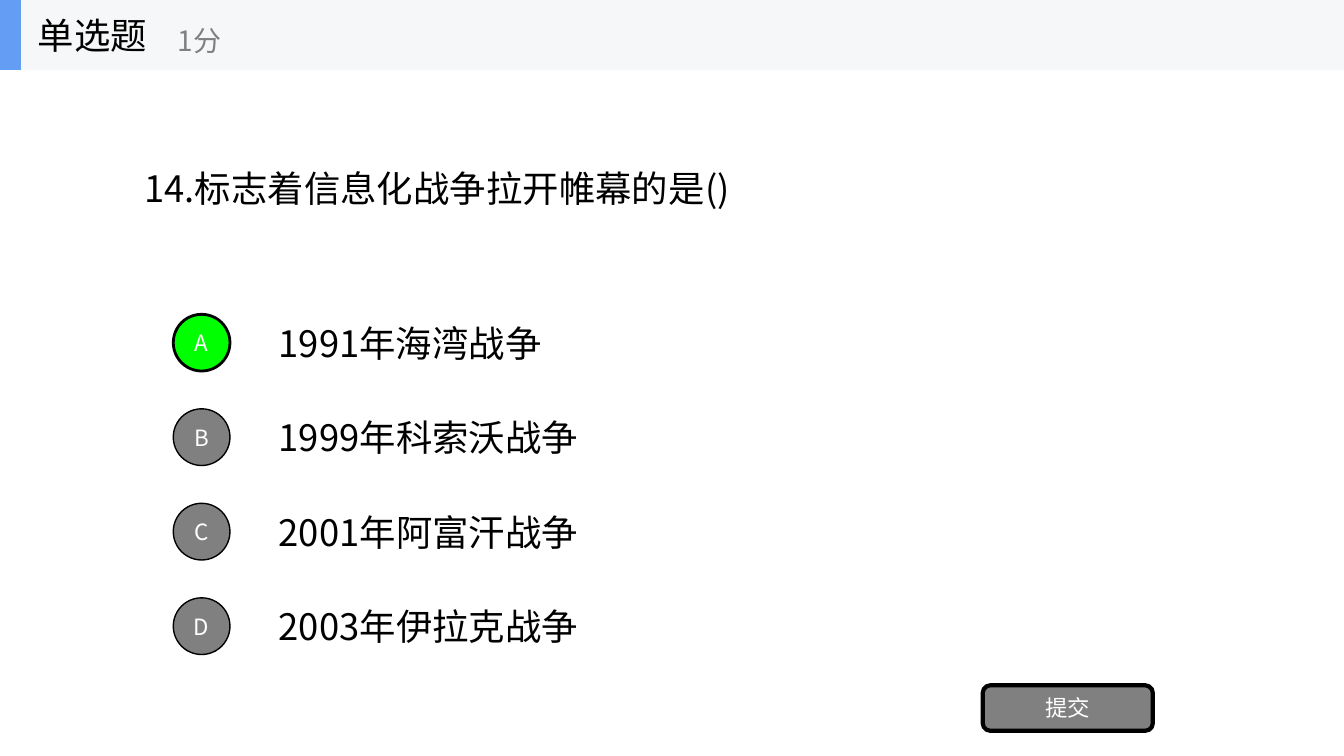
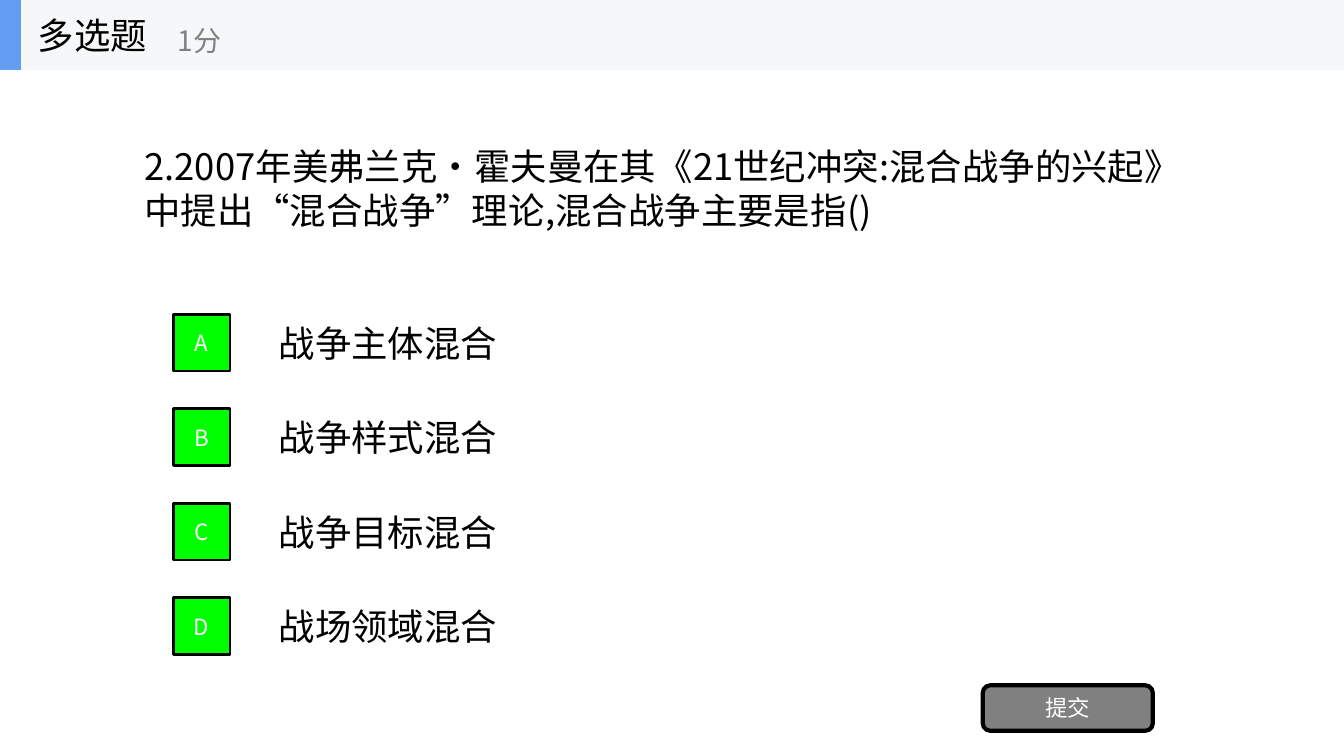
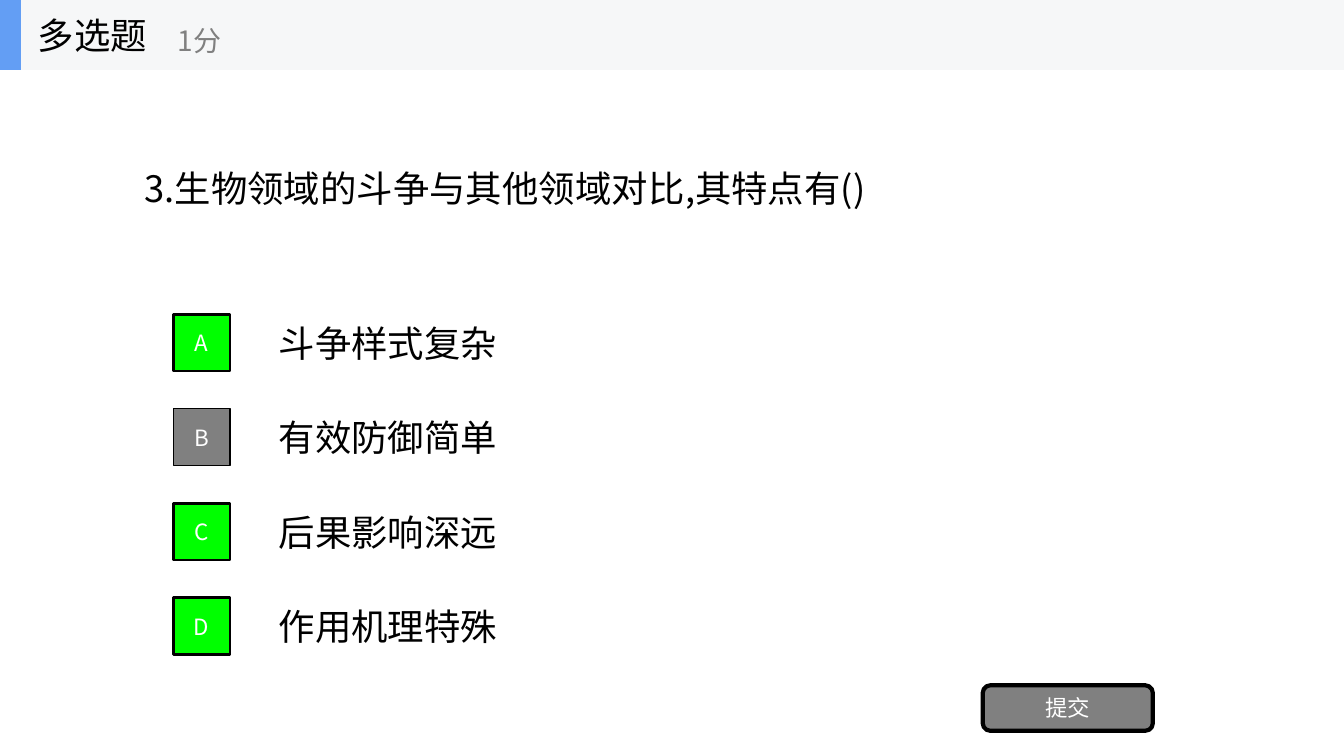
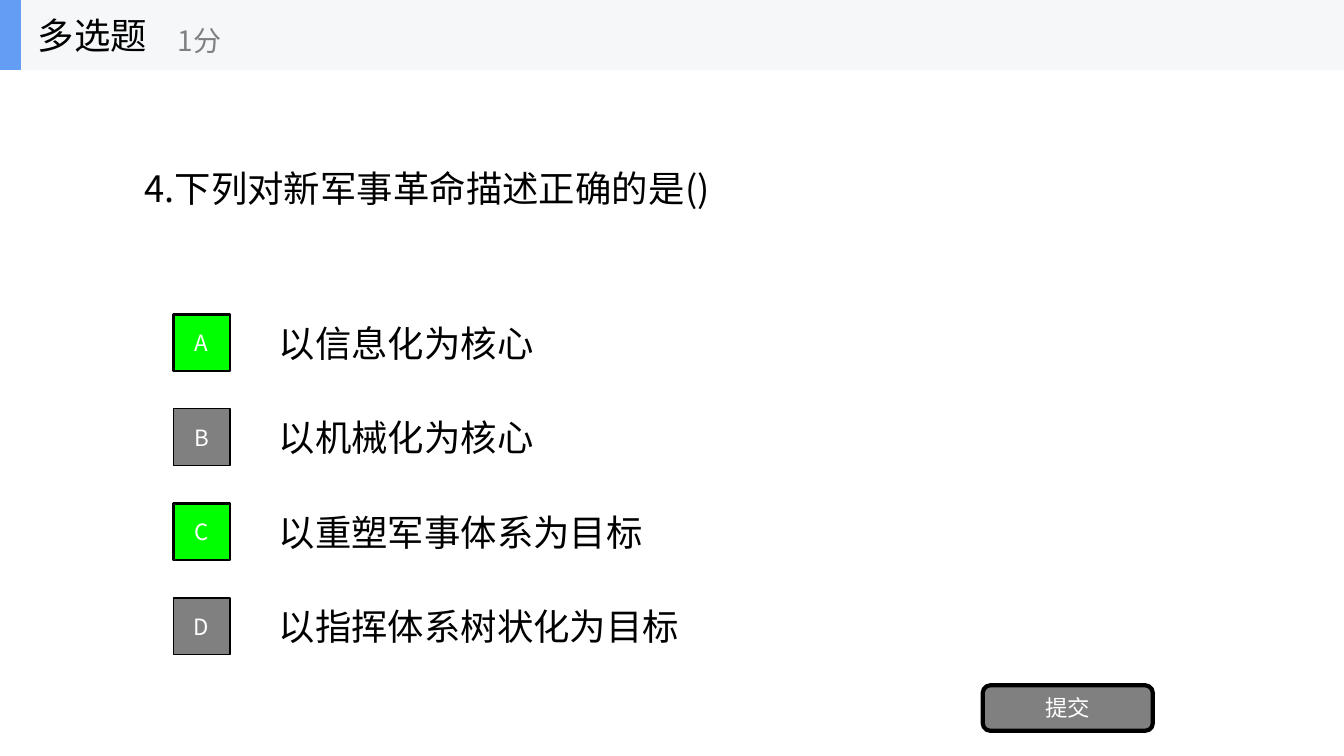
from lxml.etree import SubElement
from pptx import Presentation
from pptx.dml.color import RGBColor
from pptx.enum.shapes import MSO_SHAPE
from pptx.enum.text import MSO_ANCHOR, MSO_AUTO_SIZE, PP_ALIGN
from pptx.oxml.ns import qn
from pptx.util import Pt

BLACK = RGBColor(0x00, 0x00, 0x00)
WHITE = RGBColor(0xFF, 0xFF, 0xFF)
GREY = RGBColor(0x80, 0x80, 0x80)
GREEN = RGBColor(0x00, 0xFF, 0x00)
BLUE = RGBColor(0x63, 0x9E, 0xF4)
BAND = RGBColor(0xF6, 0xF7, 0xF8)

FONT = "Noto Sans CJK SC"
BODY = {"size": Pt(26), "color": BLACK}
SCORE = {"size": Pt(20), "color": GREY}
LABEL = {"size": Pt(16), "color": WHITE}

SLIDE_W, SLIDE_H = 960, 540
HEADER_H = 50
LINE_H = 38
QUESTION_LEFT, QUESTION_MID = 96, 134.25
BADGE_LEFT, BADGE_TOP, BADGE_SIZE, OPTION_STEP = 123.75, 224.5, 40.5, 67.5
OPTION_LEFT = 192
CHAR_W, DIGIT_W, TEXT_PAD = 26, 15.25, 22

QUESTIONS = [
    {"kind": "单选题", "text": "14.标志着信息化战争拉开帷幕的是()",
     "width": 440, "height": LINE_H, "badge": MSO_SHAPE.OVAL, "answers": "A",
     "options": ["1991年海湾战争", "1999年科索沃战争",
                 "2001年阿富汗战争", "2003年伊拉克战争"]},
    {"kind": "多选题",
     "text": "2.2007年美弗兰克·霍夫曼在其《21世纪冲突:混合战争的兴起》"
             "中提出“混合战争”理论,混合战争主要是指()",
     "width": 764, "height": 70, "badge": MSO_SHAPE.RECTANGLE, "answers": "ABCD",
     "options": ["战争主体混合", "战争样式混合", "战争目标混合", "战场领域混合"]},
    {"kind": "多选题", "text": "3.生物领域的斗争与其他领域对比,其特点有()",
     "width": 535, "height": LINE_H, "badge": MSO_SHAPE.RECTANGLE, "answers": "ACD",
     "options": ["斗争样式复杂", "有效防御简单", "后果影响深远", "作用机理特殊"]},
    {"kind": "多选题", "text": "4.下列对新军事革命描述正确的是()",
     "width": 425, "height": LINE_H, "badge": MSO_SHAPE.RECTANGLE, "answers": "AC",
     "options": ["以信息化为核心", "以机械化为核心",
                 "以重塑军事体系为目标", "以指挥体系树状化为目标"]},
]


def write(sp, text, style, align=PP_ALIGN.LEFT):
    tf = sp.text_frame
    tf.vertical_anchor = MSO_ANCHOR.MIDDLE
    p = tf.paragraphs[0]
    p.alignment = align
    r = p.add_run()
    r.text = text
    for name, value in {"name": FONT, "size": style["size"]}.items():
        setattr(r.font, name, value)
    r.font.color.rgb = style["color"]
    SubElement(r.font._element, qn("a:ea"), typeface=FONT)


def add_text(shapes, box, text, style, wrap=True):
    sp = shapes.add_textbox(*map(Pt, box))
    sp.text_frame.word_wrap = wrap
    sp.text_frame.auto_size = (
        MSO_AUTO_SIZE.SHAPE_TO_FIT_TEXT if wrap else MSO_AUTO_SIZE.NONE)
    write(sp, text, style)


def add_block(shapes, kind, box, fill, line=0):
    sp = shapes.add_shape(kind, *map(Pt, box))
    sp.shadow.inherit = False
    sp.fill.solid()
    sp.fill.fore_color.rgb = fill
    if line:
        sp.line.color.rgb = BLACK
        sp.line.width = Pt(line)
    else:
        sp.line.fill.background()
    return sp


def add_button(shapes, kind, box, fill, line, text):
    sp = add_block(shapes, kind, box, fill, line)
    for side in ("left", "right", "top", "bottom"):
        setattr(sp.text_frame, f"margin_{side}", 0)
    write(sp, text, LABEL, PP_ALIGN.CENTER)


def add_header(s, kind):
    shapes = s.shapes.add_group_shape().shapes
    add_block(shapes, MSO_SHAPE.RECTANGLE, (0, 0, SLIDE_W, HEADER_H), BAND)
    add_block(shapes, MSO_SHAPE.RECTANGLE, (0, 0, 15, HEADER_H), BLUE)
    add_text(shapes, (20, 0, 150, HEADER_H), kind, BODY, wrap=False)
    add_text(shapes, (120, 8.5, 180, 40.5), "1分", SCORE, wrap=False)


def add_option(s, index, text, badge, answers):
    letter = "ABCD"[index]
    top = BADGE_TOP + index * OPTION_STEP
    digits = sum(c.isdigit() for c in text)
    width = digits * DIGIT_W + (len(text) - digits) * CHAR_W + TEXT_PAD
    text_top = top + (BADGE_SIZE - LINE_H) / 2
    add_text(s.shapes, (OPTION_LEFT, text_top, width, LINE_H), text, BODY)
    fill, line = (GREEN, 2) if letter in answers else (GREY, 1)
    add_button(s.shapes, badge, (BADGE_LEFT, top, BADGE_SIZE, BADGE_SIZE),
               fill, line, letter)


def add_question(prs, question):
    s = prs.slides.add_slide(prs.slide_layouts[6])
    height = question["height"]
    add_text(s.shapes, (QUESTION_LEFT, QUESTION_MID - height / 2,
                        question["width"], height), question["text"], BODY)
    for index, text in enumerate(question["options"]):
        add_option(s, index, text, question["badge"], question["answers"])
    add_button(s.shapes, MSO_SHAPE.ROUNDED_RECTANGLE, (702, 489.5, 121.5, 32.5),
               GREY, 3, "提交")
    add_header(s, question["kind"])


def main():
    prs = Presentation()
    prs.slide_width, prs.slide_height = Pt(SLIDE_W), Pt(SLIDE_H)
    for question in QUESTIONS:
        add_question(prs, question)
    prs.save("out.pptx")


main()
